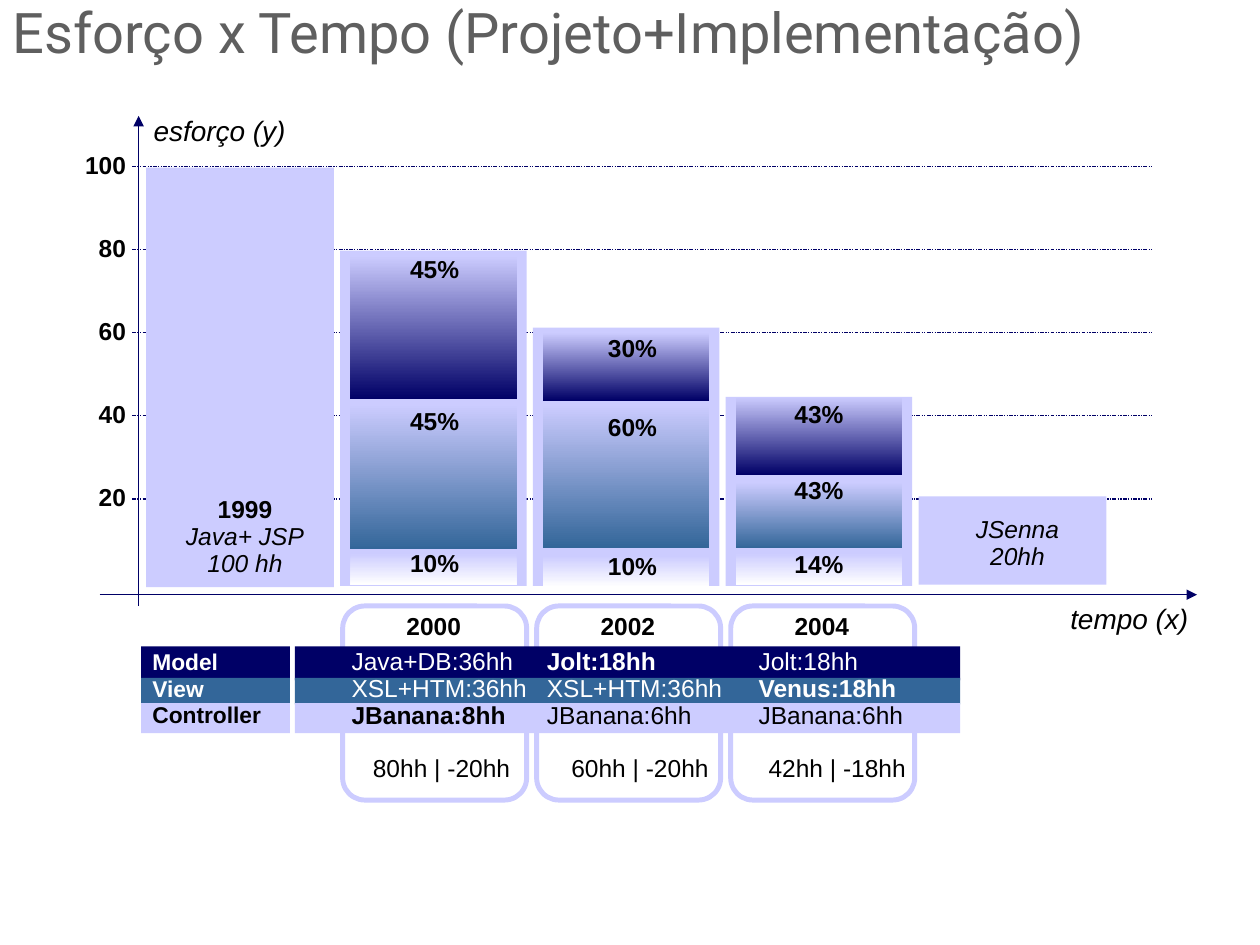
import pptx
import pptx.util
import pptx.dml.color
import pptx.enum.dml
import pptx.enum.shapes
import pptx.enum.text
import pptx.oxml.ns
import lxml.etree

Inches = pptx.util.Inches
SHAPE = pptx.enum.shapes.MSO_SHAPE
ALIGN = pptx.enum.text.PP_ALIGN
ANCHOR = pptx.enum.text.MSO_ANCHOR

NAVY, STEEL, LILAC, WHITE, BLACK = "000066", "336699", "CCCCFF", "FFFFFF", "000000"
LAYERS = [
    ("Model", 0, 0.27, NAVY, WHITE, 0.03),
    ("View", 0.25, 0.21, STEEL, WHITE, 0.25),
    ("Controller", 0.45, 0.24, LILAC, BLACK, 0.45),
]
BOLD = {"bold": True}
ITALIC = {"italic": True}


def rgb(value):
    return pptx.dml.color.RGBColor.from_string(value)


def add_text(s, x, y, w, h, lines, align=ALIGN.LEFT, color=BLACK, size=14,
             font="Arial", spacing=0.92, inset=0, anchor=ANCHOR.TOP):
    sp = s.shapes.add_textbox(Inches(x), Inches(y), Inches(w), Inches(h))
    tf = sp.text_frame
    frame_format = {
        "word_wrap": True, "vertical_anchor": anchor,
        "margin_left": Inches(inset), "margin_right": Inches(inset),
        "margin_top": Inches(inset / 2), "margin_bottom": Inches(inset / 2),
    }
    for name, value in frame_format.items():
        setattr(tf, name, value)
    for i, (text, style) in enumerate(lines):
        p = tf.paragraphs[0] if i == 0 else tf.add_paragraph()
        p.alignment = align
        p.line_spacing = spacing
        r = p.add_run()
        r.text = text
        r.font.color.rgb = rgb(color)
        font_format = {"name": font, "size": pptx.util.Pt(size), "bold": False, **style}
        for name, value in font_format.items():
            setattr(r.font, name, value)
    return tf


def add_box(s, x, y, w, h, fill, shape=SHAPE.RECTANGLE, fade_to=None):
    sp = s.shapes.add_shape(shape, Inches(x), Inches(y), Inches(w), Inches(h))
    sp.shadow.inherit = False
    sp.line.fill.background()
    if fade_to:
        sp.fill.gradient()
        sp.fill.gradient_angle = 270
        for stop, color in zip(sp.fill.gradient_stops, (fill, fade_to)):
            stop.color.rgb = rgb(color)
    else:
        sp.fill.solid()
        sp.fill.fore_color.rgb = rgb(fill)
    return sp


def add_line(s, x1, y1, x2, y2, dash=None, arrow=False):
    c = s.shapes.add_connector(pptx.enum.shapes.MSO_CONNECTOR.STRAIGHT,
                               Inches(x1), Inches(y1), Inches(x2), Inches(y2))
    c.line.color.rgb = rgb(NAVY)
    c.line.width = pptx.util.Pt(0.75)
    qn = pptx.oxml.ns.qn
    ln = c.line._get_or_add_ln()
    if dash:
        lxml.etree.SubElement(ln, qn("a:prstDash"), val=dash)
    if arrow:
        lxml.etree.SubElement(ln, qn("a:tailEnd"), type="triangle")
    lxml.etree.SubElement(c._element.spPr, qn("a:effectLst"))


def draw_title(s, x, y, w, h):
    add_text(s, x, y, w, h, [("Esforço x Tempo (Projeto+Implementação)", {})],
             color="5F5F5F", size=32, font="Roboto", spacing=1.0, inset=0.1,
             anchor=ANCHOR.MIDDLE)


def draw_axes(s, x, y, w, h):
    for i, value in enumerate(range(100, 0, -20)):
        grid_y = y + 0.4 + 0.66 * i
        add_line(s, x + 0.26, grid_y, x + 8.36, grid_y, dash="sysDashDotDot")
        add_text(s, x - 0.38, grid_y - 0.11, 0.59, 0.22, [(str(value), BOLD)], ALIGN.RIGHT)
    axis_y = y + h - 0.09
    add_line(s, x, axis_y, x + w, axis_y, arrow=True)
    add_line(s, x + 0.31, y + h, x + 0.31, y, arrow=True)
    add_text(s, x + 0.43, y + 0.01, 2.3, 0.25, [("esforço (y)", ITALIC)], size=16)
    add_text(s, x + w - 1.12, y + h - 0.01, 1.05, 0.25, [("tempo (x)", ITALIC)],
             ALIGN.RIGHT, size=16)


def draw_plain_bar(s, x, y, w, h, lines, text_left, text_top):
    add_box(s, x, y, w, h, LILAC)
    add_text(s, x + text_left, y + text_top, w - 2 * text_left + 0.08,
             0.21 * len(lines), lines, ALIGN.CENTER)


def draw_layered_bar(s, x, y, w, h, segments, label_shift):
    add_box(s, x, y, w, h, LILAC)
    for (top, height, label_top, label), end in zip(segments, (NAVY, STEEL, WHITE)):
        add_box(s, x + 0.08, y + top, w - 0.16, height, LILAC, fade_to=end)
        add_text(s, x + label_shift, y + label_top, w, 0.23, [(label, BOLD)],
                 ALIGN.CENTER, spacing=1.0)


def draw_year_panel(s, x, y, w, h, year):
    sp = add_box(s, x, y, w, h, WHITE, SHAPE.ROUNDED_RECTANGLE)
    sp.adjustments[0] = 0.12
    sp.line.color.rgb = rgb(LILAC)
    sp.line.width = pptx.util.Pt(2.83)
    add_text(s, x + 0.48, y + 0.06, 0.46, 0.22, [(year, BOLD)], ALIGN.RIGHT)


def draw_bands(s, x, y, w):
    for _, top, height, fill, _, _ in LAYERS:
        add_box(s, x, y + top, w, height, fill)


def draw_layer_names(s, x, y, w):
    draw_bands(s, x, y, w)
    for name, _, _, _, color, text_top in LAYERS:
        add_text(s, x + 0.09, y + text_top, w - 0.2, 0.2, [(name, BOLD)],
                 color=color, size=13)


def draw_year_details(s, x, y, w, h, items, new_item, total):
    lines = [(item, {"bold": i == new_item}) for i, item in enumerate(items)]
    tf = add_text(s, x, y, w, h, lines + [(total, {})], color=WHITE)
    for p in tf.paragraphs[2:]:
        p.runs[0].font.color.rgb = rgb(BLACK)
    p = tf.paragraphs[-1]
    p.alignment = ALIGN.CENTER
    p.space_before = pptx.util.Pt(14.7)


def main():
    prs = pptx.Presentation()
    prs.slide_width, prs.slide_height = Inches(10), Inches(7.5)
    s = prs.slides.add_slide(prs.slide_layouts[6])

    draw_title(s, 0, 0, 10, 0.5)
    draw_axes(s, 0.79, 0.92, 8.71, 3.89)
    draw_plain_bar(s, 1.16, 1.33, 1.49, 3.33,
                   [("1999", BOLD), ("Java+ JSP", ITALIC), ("100 hh", ITALIC)], 0.25, 2.61)
    draw_plain_bar(s, 7.29, 3.94, 1.49, 0.7,
                   [("JSenna", ITALIC), ("20hh", ITALIC)], 0.06, 0.16)

    bars = [
        (1.99, 0.01, [(0.04, 1.14, 0.03, "45%"), (1.22, 1.15, 1.23, "45%"),
                      (2.4, 0.25, 2.36, "10%")]),
        (2.6, 0.05, [(0.04, 0.54, 0.04, "30%"), (0.61, 1.14, 0.67, "60%"),
                     (1.81, 0.25, 1.77, "10%")]),
        (3.15, 0, [(0, 0.62, 0.02, "43%"), (0.68, 0.52, 0.62, "43%"),
                   (1.24, 0.25, 1.21, "14%")]),
    ]
    for i, (top, shift, segments) in enumerate(bars):
        draw_layered_bar(s, 2.7 + 1.53 * i, top, 1.48, 4.65 - top, segments, shift)

    for i, year in enumerate(("2000", "2002", "2004")):
        draw_year_panel(s, 2.72 + 1.54 * i, 4.81, 1.46, 1.54, year)
    draw_bands(s, 2.34, 5.13, 5.28)
    draw_layer_names(s, 1.12, 5.13, 1.18)

    details = [
        (2.79, 1.43, ["Java+DB:36hh", "XSL+HTM:36hh", "JBanana:8hh"], 2, "80hh | -20hh"),
        (4.34, 1.48, ["Jolt:18hh", "XSL+HTM:36hh", "JBanana:6hh"], 0, "60hh | -20hh"),
        (6.02, 1.25, ["Jolt:18hh", "Venus:18hh", "JBanana:6hh"], 1, "42hh | -18hh"),
    ]
    for left, width, items, new_item, total in details:
        draw_year_details(s, left, 5.15, width, 1.07, items, new_item, total)

    prs.save("out.pptx")


if __name__ == "__main__":
    main()
